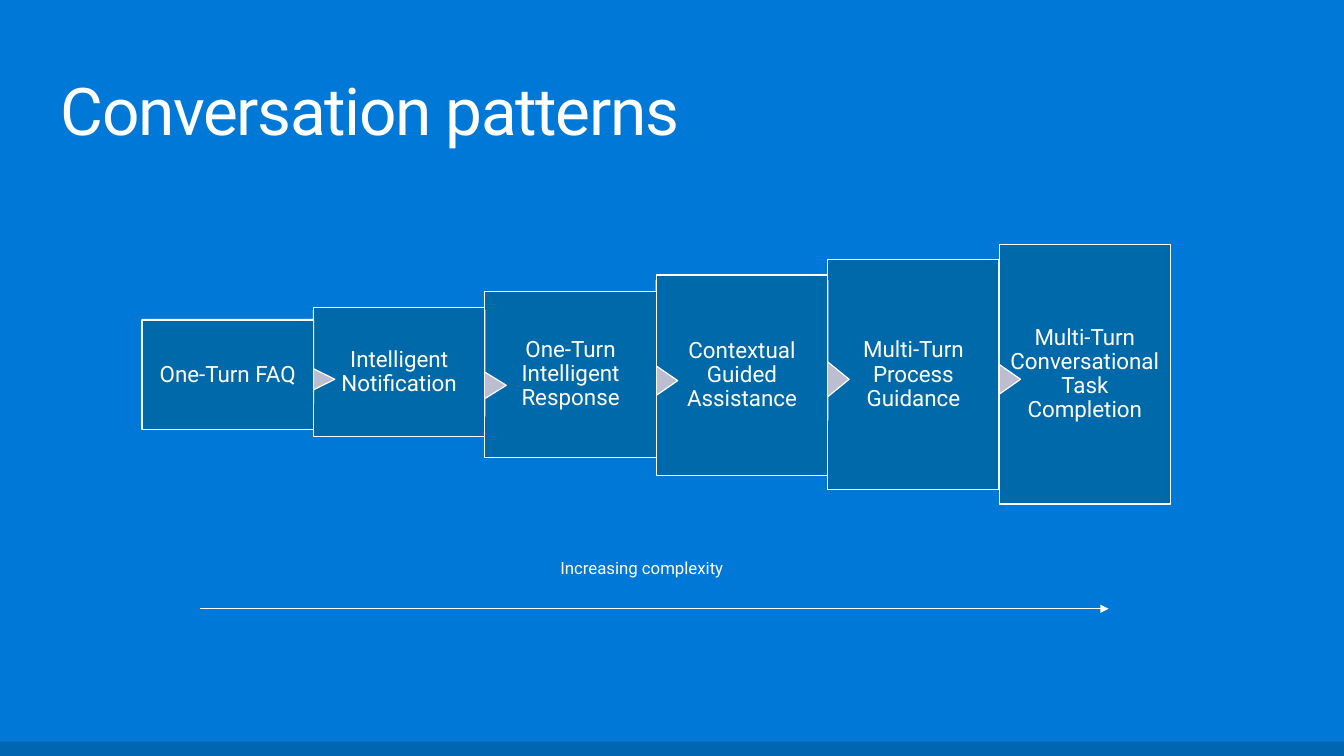
from dataclasses import dataclass
from typing import Optional

from lxml import etree
from pptx import Presentation
from pptx import util as u
from pptx.dml.color import RGBColor
from pptx.enum import shapes, text
from pptx.oxml.ns import qn

WHITE, BACKGROUND, FOOTER = "FFFFFF", "0078D7", "0066B2"
BOX_FILL, POINTER_FILL = "0069AA", "BDBDD1"
FONT = "Roboto"
SLIDE_WIDTH, SLIDE_HEIGHT = 33.87, 19.05
FIRST_LEFT, STEP_WIDTH = 3.58, 4.32


@dataclass
class Pattern:
    label: str
    top: float
    height: float
    pointer_top: Optional[float] = None
    pointer_height: Optional[float] = None


PATTERNS = [
    Pattern("One-Turn FAQ", 8.08, 2.74, 8.05, 2.13),
    Pattern("Intelligent Notification", 7.75, 3.25, 7.82, 2.67),
    Pattern("One-Turn Intelligent Response", 7.34, 4.19, 7.49, 2.97),
    Pattern("Contextual Guided Assistance", 6.93, 5.05, 7.06, 3.53),
    Pattern("Multi-Turn Process Guidance", 6.55, 5.79, 7.42, 3.02),
    Pattern("Multi-Turn Conversational Task Completion", 6.17, 6.53),
]


def paint(target, color: str) -> None:
    """Give a fill or a line format one solid colour."""
    fill = getattr(target, "fill", target)
    fill.solid()
    fill.fore_color.rgb = RGBColor.from_string(color)


def add_block(slide, kind, left: float, top: float, width: float, height: float,
              fill: str, outlined: bool = True):
    shape = slide.shapes.add_shape(kind, *map(u.Cm, (left, top, width, height)))
    shape.shadow.inherit = False
    paint(shape.fill, fill)
    if outlined:
        paint(shape.line, WHITE)
        shape.line.width = u.Pt(0.85)
    else:
        shape.line.fill.background()
    return shape


def write(shape, content: str, size: float, frame_format: dict, paragraph_format: dict):
    """Fill a shape with one white paragraph and return its run."""
    frame = shape.text_frame
    paragraph = frame.paragraphs[0]
    run = paragraph.add_run()
    run.text = content
    font_format = {"name": FONT, "size": u.Pt(size)}
    for target, values in ((frame, {"word_wrap": True, **frame_format}),
                           (paragraph, paragraph_format), (run.font, font_format)):
        for name, value in values.items():
            setattr(target, name, value)
    paint(run.font, WHITE)
    return run


def margins(horizontal: float, vertical: float) -> dict:
    return {"margin_left": u.Cm(horizontal), "margin_right": u.Cm(horizontal),
            "margin_top": u.Cm(vertical), "margin_bottom": u.Cm(vertical)}


def add_pattern(slide, index: int, pattern: Pattern) -> None:
    left = FIRST_LEFT + index * STEP_WIDTH
    if pattern.pointer_top is not None:
        pointer = add_block(slide, shapes.MSO_SHAPE.RECTANGULAR_CALLOUT, left,
                            pattern.pointer_top, STEP_WIDTH, pattern.pointer_height,
                            POINTER_FILL)
        pointer.adjustments[0], pointer.adjustments[1] = 0.625, 0.208
    box = add_block(slide, shapes.MSO_SHAPE.RECTANGLE, left, pattern.top,
                    STEP_WIDTH, pattern.height, BOX_FILL)
    write(box, pattern.label, 16,
          {"vertical_anchor": text.MSO_ANCHOR.MIDDLE, **margins(0.15, 0.15)},
          {"alignment": text.PP_ALIGN.CENTER, "line_spacing": 0.9})


def add_arrow(slide, start: float, end: float, top: float) -> None:
    arrow = slide.shapes.add_connector(shapes.MSO_CONNECTOR.STRAIGHT,
                                       *map(u.Cm, (start, top, end, top)))
    paint(arrow.line, WHITE)
    arrow.line.width = u.Pt(0.75)
    properties = arrow.element.spPr
    etree.SubElement(properties.find(qn("a:ln")), qn("a:tailEnd"), type="triangle")
    etree.SubElement(properties, qn("a:effectLst"))


def main() -> None:
    presentation = Presentation()
    presentation.slide_width = u.Cm(SLIDE_WIDTH)
    presentation.slide_height = u.Cm(SLIDE_HEIGHT)
    slide = presentation.slides.add_slide(presentation.slide_layouts[6])
    paint(slide.background, BACKGROUND)

    footer_height = 0.36
    add_block(slide, shapes.MSO_SHAPE.RECTANGLE, 0, SLIDE_HEIGHT - footer_height,
              SLIDE_WIDTH, footer_height, FOOTER, outlined=False)

    # Each pointer overlaps the box to its right, so draw from right to left.
    for index, pattern in reversed(list(enumerate(PATTERNS))):
        add_pattern(slide, index, pattern)

    add_arrow(slide, 5.05, 27.94, 15.34)
    caption = slide.shapes.add_textbox(*map(u.Cm, (13.87, 13.94, 5.28, 0.86)))
    write(caption, "Increasing complexity", 12, {}, {})

    title = slide.shapes.add_textbox(*map(u.Cm, (1.12, 1.73, 32.39, 2.49)))
    title_run = write(title, "Conversation patterns", 47, margins(0.41, 0.25),
                      {"line_spacing": 0.9})
    title_run.font._element.set("spc", "-100")

    presentation.save("out.pptx")


if __name__ == "__main__":
    main()
